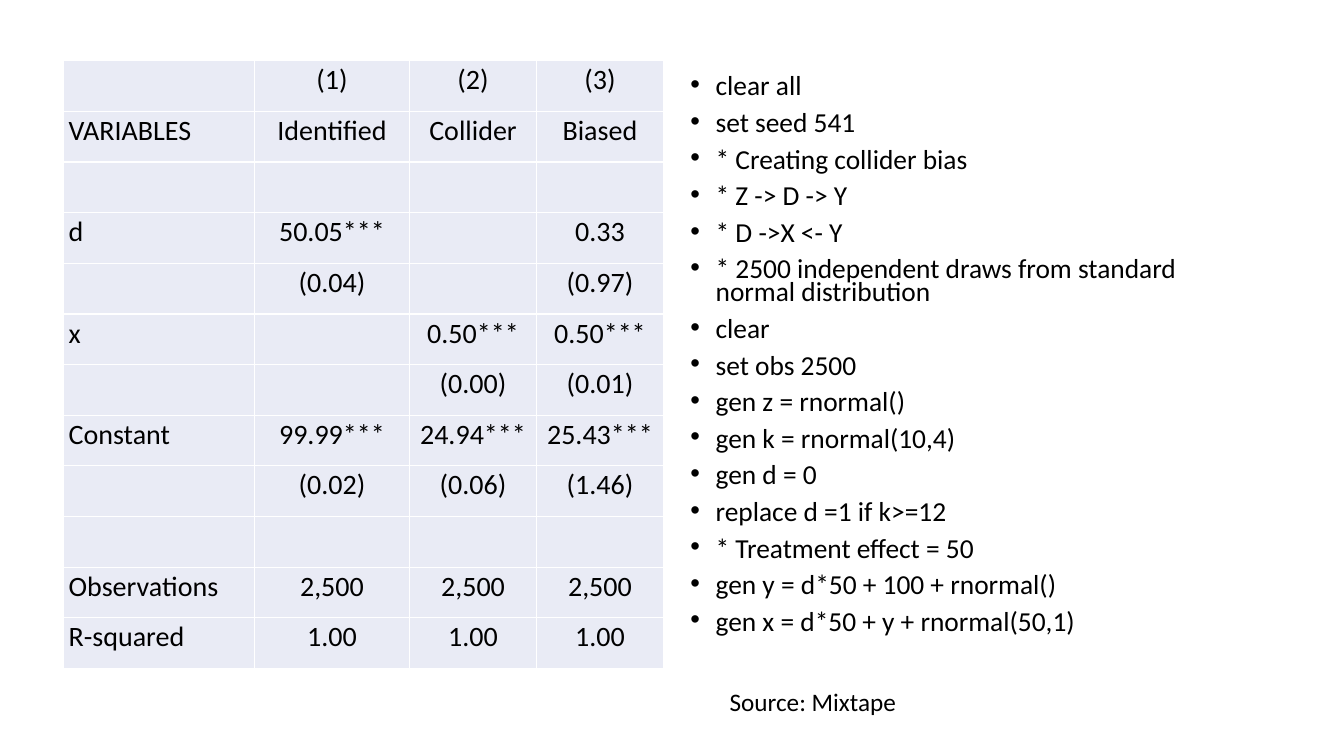
from lxml.etree import SubElement
from pptx import Presentation
from pptx.dml.color import RGBColor
from pptx.enum.text import MSO_ANCHOR, MSO_AUTO_SIZE, PP_ALIGN
from pptx.oxml.ns import qn
from pptx.util import Pt

RESULTS = [
    ("", "(1)", "(2)", "(3)"),
    ("VARIABLES", "Identified", "Collider", "Biased"),
    ("", "", "", ""),
    ("d", "50.05***", "", "0.33"),
    ("", "(0.04)", "", "(0.97)"),
    ("x", "", "0.50***", "0.50***"),
    ("", "", "(0.00)", "(0.01)"),
    ("Constant", "99.99***", "24.94***", "25.43***"),
    ("", "(0.02)", "(0.06)", "(1.46)"),
    ("", "", "", ""),
    ("Observations", "2,500", "2,500", "2,500"),
    ("R-squared", "1.00", "1.00", "1.00"),
]
CODE = [
    "clear all",
    "set seed 541",
    "* Creating collider bias",
    "* Z -> D -> Y",
    "* D ->X <- Y",
    "* 2500 independent draws from standard normal distribution",
    "clear",
    "set obs 2500",
    "gen z = rnormal()",
    "gen k = rnormal(10,4)",
    "gen d = 0",
    "replace d =1 if k>=12",
    "* Treatment effect = 50",
    "gen y = d*50 + 100 + rnormal()",
    "gen x = d*50 + y + rnormal(50,1)",
]
SOURCE = "Source: Mixtape"

FONT = "Calibri"
BLACK = RGBColor(0x00, 0x00, 0x00)
WHITE = RGBColor(0xFF, 0xFF, 0xFF)
PALE_BLUE = RGBColor(0xE9, 0xEB, 0xF5)
COL_WIDTHS = (136.4, 110.8, 90.7, 90.7)
ROW_HEIGHT = 36.18


def add_run(p, text, size):
    r = p.add_run()
    r.text = text
    r.font.name = FONT
    r.font.size = Pt(size)
    r.font.color.rgb = BLACK


def set_borders(cell, color, width):
    tcPr = cell._tc.get_or_add_tcPr()
    for i, side in enumerate(("lnL", "lnR", "lnT", "lnB")):
        ln = SubElement(tcPr, qn(f"a:{side}"), w=str(Pt(width)))
        fill = SubElement(ln, qn("a:solidFill"))
        SubElement(fill, qn("a:srgbClr"), val=str(color))
        tcPr.insert(i, ln)


def add_results(s):
    frame = s.shapes.add_table(
        len(RESULTS), len(COL_WIDTHS), Pt(45.4), Pt(43.4),
        Pt(sum(COL_WIDTHS)), Pt(ROW_HEIGHT * len(RESULTS)))
    table = frame.table
    for column, width in zip(table.columns, COL_WIDTHS):
        column.width = Pt(width)
    for i, values in enumerate(RESULTS):
        table.rows[i].height = Pt(ROW_HEIGHT)
        for j, value in enumerate(values):
            cell = table.cell(i, j)
            cell.fill.solid()
            cell.fill.fore_color.rgb = PALE_BLUE
            set_borders(cell, WHITE, 1)
            cell.margin_left = cell.margin_right = Pt(3.6)
            cell.margin_top = cell.margin_bottom = Pt(0)
            p = cell.text_frame.paragraphs[0]
            p.alignment = PP_ALIGN.CENTER if j else PP_ALIGN.LEFT
            p.line_spacing = 1.07
            p.space_after = Pt(8)
            if value:
                add_run(p, value, 20)


def add_code(s):
    body = s.placeholders[1]
    body.left, body.top, body.width, body.height = Pt(486), Pt(51.8), Pt(408.2), Pt(434.2)
    tf = body.text_frame
    tf.word_wrap = True
    tf.auto_size = MSO_AUTO_SIZE.NONE
    tf.vertical_anchor = MSO_ANCHOR.TOP
    for i, line in enumerate(CODE):
        p = tf.paragraphs[0] if i == 0 else tf.add_paragraph()
        p.line_spacing = 0.7
        p.space_before = Pt(9.7)
        pPr = p._p.get_or_add_pPr()
        pPr.set("marL", str(Pt(18)))
        pPr.set("indent", str(-Pt(18)))
        SubElement(pPr, qn("a:buFont"), typeface="Arial")
        SubElement(pPr, qn("a:buChar"), char="•")
        add_run(p, line, 19.6)


def add_source(s):
    box = s.shapes.add_textbox(Pt(514.1), Pt(486.7), Pt(181.4), Pt(29))
    tf = box.text_frame
    tf.word_wrap = True
    add_run(tf.paragraphs[0], SOURCE, 18)


def main():
    prs = Presentation()
    prs.slide_width, prs.slide_height = Pt(960), Pt(540)
    s = prs.slides.add_slide(prs.slide_layouts.get_by_name("Title and Content"))
    title = s.shapes.title.element
    title.getparent().remove(title)
    add_results(s)
    add_code(s)
    add_source(s)
    prs.save("out.pptx")


if __name__ == "__main__":
    main()
